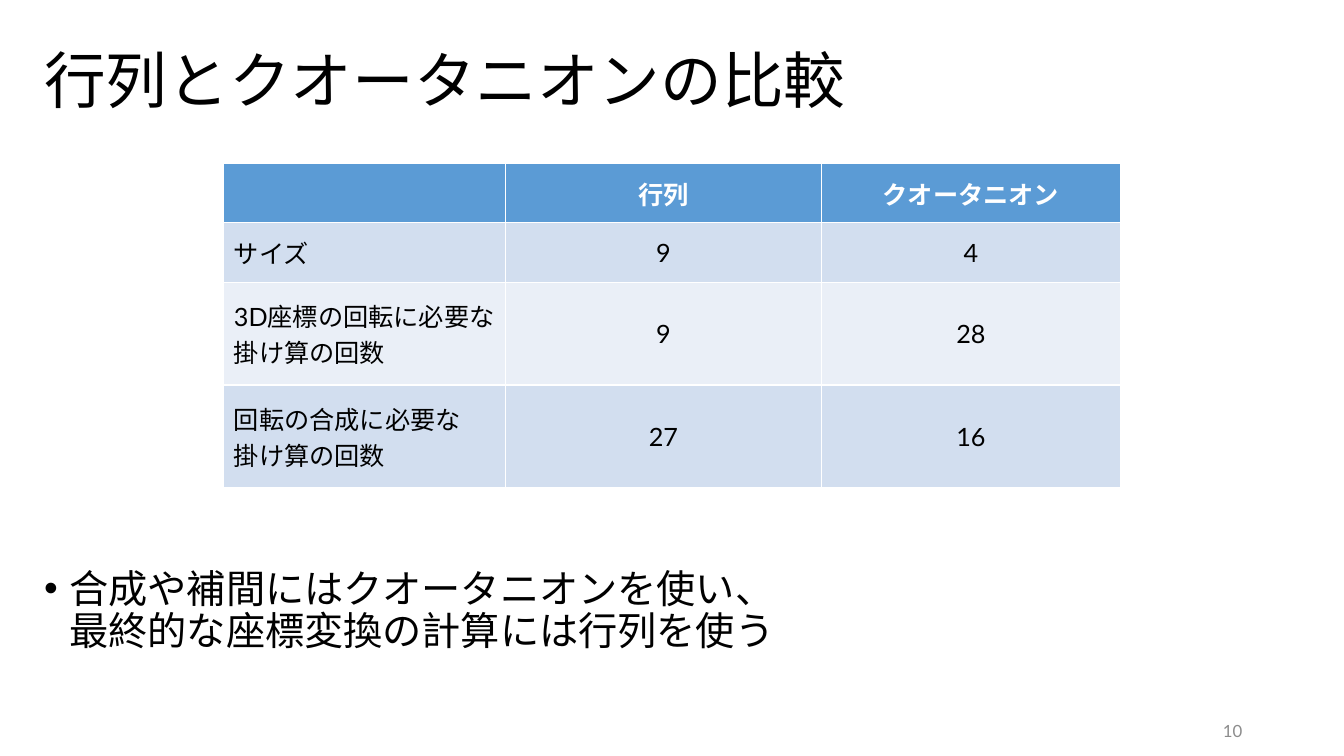
from lxml.etree import SubElement
from pptx import Presentation
from pptx.dml.color import RGBColor
from pptx.enum.text import MSO_ANCHOR, MSO_AUTO_SIZE, PP_ALIGN
from pptx.oxml.ns import qn
from pptx.util import Inches, Pt

# Content ("\v" is a line break inside a paragraph)
TITLE = "行列とクオータニオンの比較"
ROWS = [
    ("", "行列", "クオータニオン"),
    ("サイズ", "9", "4"),
    ("3D座標の回転に必要な掛け算の回数", "9", "28"),
    ("回転の合成に必要な\v掛け算の回数", "27", "16"),
]
CONCLUSION = "合成や補間にはクオータニオンを使い、\v最終的な座標変換の計算には行列を使う"
PAGE = "10"

# Grid, in inches
WIDTH, HEIGHT = 13.33, 7.5
MARGIN, BLOCK_H = 0.34, 1.45
BLOCK_W = WIDTH - 2 * MARGIN
COLS = (2.79, 3.14, 2.96)
ROW_H = (0.59, 0.59, 1.02, 1.02)
TABLE_TOP = 1.62

# Colours and fonts
BLACK = RGBColor(0x00, 0x00, 0x00)
WHITE = RGBColor(0xFF, 0xFF, 0xFF)
GRAY = RGBColor(0x8C, 0x8C, 0x8C)
HEADER = RGBColor(0x5B, 0x9B, 0xD5)
BANDS = (RGBColor(0xEA, 0xEF, 0xF7), RGBColor(0xD2, 0xDE, 0xEF))
FONT = "Lato"


def write(tf, text, size, color, bold=False, **layout):
    """Fill the first paragraph; layout holds paragraph attributes."""
    p = tf.paragraphs[0]
    p.text = text
    for name, value in layout.items():
        setattr(p, name, value)
    for r in p.runs:
        for name, value in dict(name=FONT, size=Pt(size), bold=bold).items():
            setattr(r.font, name, value)
        r.font.color.rgb = color
    return p


def place(sp, left, top, width, height, anchor):
    sp.left, sp.top, sp.width, sp.height = map(Inches, (left, top, width, height))
    tf = sp.text_frame
    for name, value in dict(word_wrap=True, auto_size=MSO_AUTO_SIZE.NONE,
                            vertical_anchor=anchor).items():
        setattr(tf, name, value)
    return tf


prs = Presentation()
prs.slide_width, prs.slide_height = Inches(WIDTH), Inches(HEIGHT)
s = prs.slides.add_slide(prs.slide_layouts[5])

# Title
tf = place(s.shapes.title, MARGIN, 0.1, BLOCK_W, BLOCK_H, MSO_ANCHOR.MIDDLE)
write(tf, TITLE, 44, BLACK, alignment=PP_ALIGN.LEFT, line_spacing=0.9)

# Bulleted conclusion
tf = place(s.shapes.add_textbox(0, 0, 0, 0), MARGIN, 5.6, BLOCK_W, BLOCK_H,
           MSO_ANCHOR.TOP)
p = write(tf, CONCLUSION, 28, BLACK, line_spacing=0.9, space_before=Pt(10))
pPr = p._p.get_or_add_pPr()
pPr.set("marL", str(Inches(0.25)))
pPr.set("indent", str(-Inches(0.25)))
SubElement(pPr, qn("a:buFont"), typeface="Arial")
SubElement(pPr, qn("a:buChar"), char="•")

# Page number
tf = place(s.shapes.add_textbox(0, 0, 0, 0), 11.47, 7.05, 0.95, 0.4,
           MSO_ANCHOR.MIDDLE)
write(tf, PAGE, 12, GRAY, alignment=PP_ALIGN.RIGHT)

# Comparison table, centred on the slide
left = (WIDTH - sum(COLS)) / 2
table = s.shapes.add_table(len(ROWS), len(COLS), Inches(left), Inches(TABLE_TOP),
                           Inches(sum(COLS)), Inches(sum(ROW_H))).table
for column, width in zip(table.columns, COLS):
    column.width = Inches(width)
for i, (row, height) in enumerate(zip(table.rows, ROW_H)):
    row.height = Inches(height)
    head = i == 0
    for j, cell in enumerate(row.cells):
        cell.fill.solid()
        cell.fill.fore_color.rgb = HEADER if head else BANDS[i % 2]
        cell.vertical_anchor = MSO_ANCHOR.MIDDLE
        write(cell.text_frame, ROWS[i][j], 18, WHITE if head else BLACK, head,
              alignment=PP_ALIGN.CENTER if j else PP_ALIGN.LEFT)

prs.save("out.pptx")
